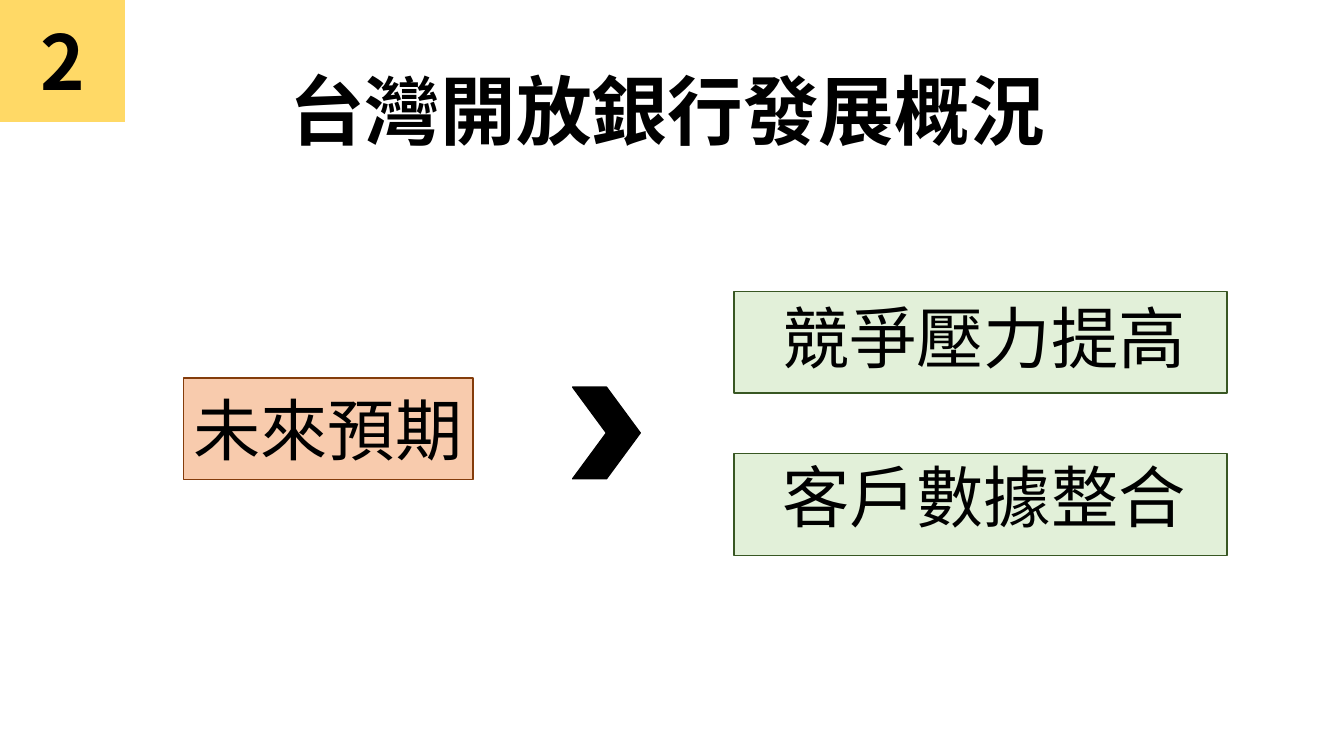
from lxml.etree import SubElement
from pptx import Presentation
from pptx.dml.color import RGBColor
from pptx.enum.shapes import MSO_SHAPE as Shape
from pptx.enum.text import MSO_ANCHOR as Anchor, MSO_AUTO_SIZE as AutoSize, PP_ALIGN as Align
from pptx.oxml.ns import qn
from pptx.util import Inches, Pt

BLACK = RGBColor(0x00, 0x00, 0x00)
YELLOW = RGBColor(0xFF, 0xD9, 0x66)
GREEN = RGBColor(0xE2, 0xF0, 0xD9)
DARK_GREEN = RGBColor(0x38, 0x57, 0x23)
ORANGE = RGBColor(0xF8, 0xCB, 0xAD)
DARK_ORANGE = RGBColor(0x84, 0x3C, 0x0B)
HEADING_FONT = "Noto Sans CJK TC"
BODY_FONT = "Open Sans"


def place(shape, left, top, width, height):
    shape.left, shape.top = Inches(left), Inches(top)
    shape.width, shape.height = Inches(width), Inches(height)


def write(shape, text, size, font_name, bold=False, align=Align.LEFT):
    frame = shape.text_frame
    frame.text = text
    frame.word_wrap = True
    frame.auto_size = AutoSize.SHAPE_TO_FIT_TEXT
    frame.vertical_anchor = Anchor.TOP
    paragraph = frame.paragraphs[0]
    paragraph.alignment = align
    font = paragraph.font
    font.size, font.bold, font.name = Pt(size), bold, font_name
    font.color.rgb = BLACK
    properties = paragraph._p.pPr.find(qn("a:defRPr"))
    SubElement(properties, qn("a:ea")).set("typeface", font_name)


def add_text(slide, box, *content, **style):
    shape = slide.shapes.add_textbox(*map(Inches, box))
    write(shape, *content, **style)


def add_block(slide, kind, box, fill, line=None):
    shape = slide.shapes.add_shape(kind, *map(Inches, box))
    shape.shadow.inherit = False
    shape.fill.solid()
    shape.fill.fore_color.rgb = fill
    if line is None:
        shape.line.fill.background()
    else:
        shape.line.color.rgb = line
        shape.line.width = Pt(1)


def add_title(slide, box):
    title = slide.shapes.title
    place(title, *box)
    write(title, "台灣開放銀行發展概況", 54, HEADING_FONT, bold=True)


def add_section_number(slide, left, top, width, height):
    add_block(slide, Shape.RECTANGLE, (left, top, width, height), YELLOW)
    add_text(slide, (left + 0.11, top + 0.1, width - 0.22, height - 0.2),
             "2", 54, HEADING_FONT, bold=True, align=Align.CENTER)


def add_expectation(slide, left, top, width, height):
    add_block(slide, Shape.RECTANGLE, (left, top, width, height), ORANGE, DARK_ORANGE)
    add_text(slide, (left, top + 0.05, width + 0.1, height - 0.1), "未來預期", 48, BODY_FONT)


def add_outcomes(slide, left, top, width, height):
    block_height = 1.01
    step = height - block_height
    for index, (text, text_shift) in enumerate([("競爭壓力提高", 0), ("客戶數據整合", -0.03)]):
        block_top = top + index * step
        add_block(slide, Shape.RECTANGLE, (left, block_top, width, block_height),
                  GREEN, DARK_GREEN)
        add_text(slide, (left + 0.38, block_top + text_shift, width - 0.6, block_height - 0.1),
                 text, 48, BODY_FONT)


def main():
    presentation = Presentation()
    presentation.slide_width, presentation.slide_height = Inches(13.33), Inches(7.5)
    slide = presentation.slides.add_slide(presentation.slide_layouts[5])
    add_title(slide, (2.77, 0.58, 7.79, 1.01))
    add_section_number(slide, 0, 0, 1.24, 1.21)
    add_expectation(slide, 1.82, 3.75, 2.87, 1.01)
    add_block(slide, Shape.CHEVRON, (5.68, 3.84, 0.67, 0.91), BLACK, BLACK)
    add_outcomes(slide, 7.28, 2.89, 4.89, 2.62)
    presentation.save("out.pptx")


if __name__ == "__main__":
    main()
